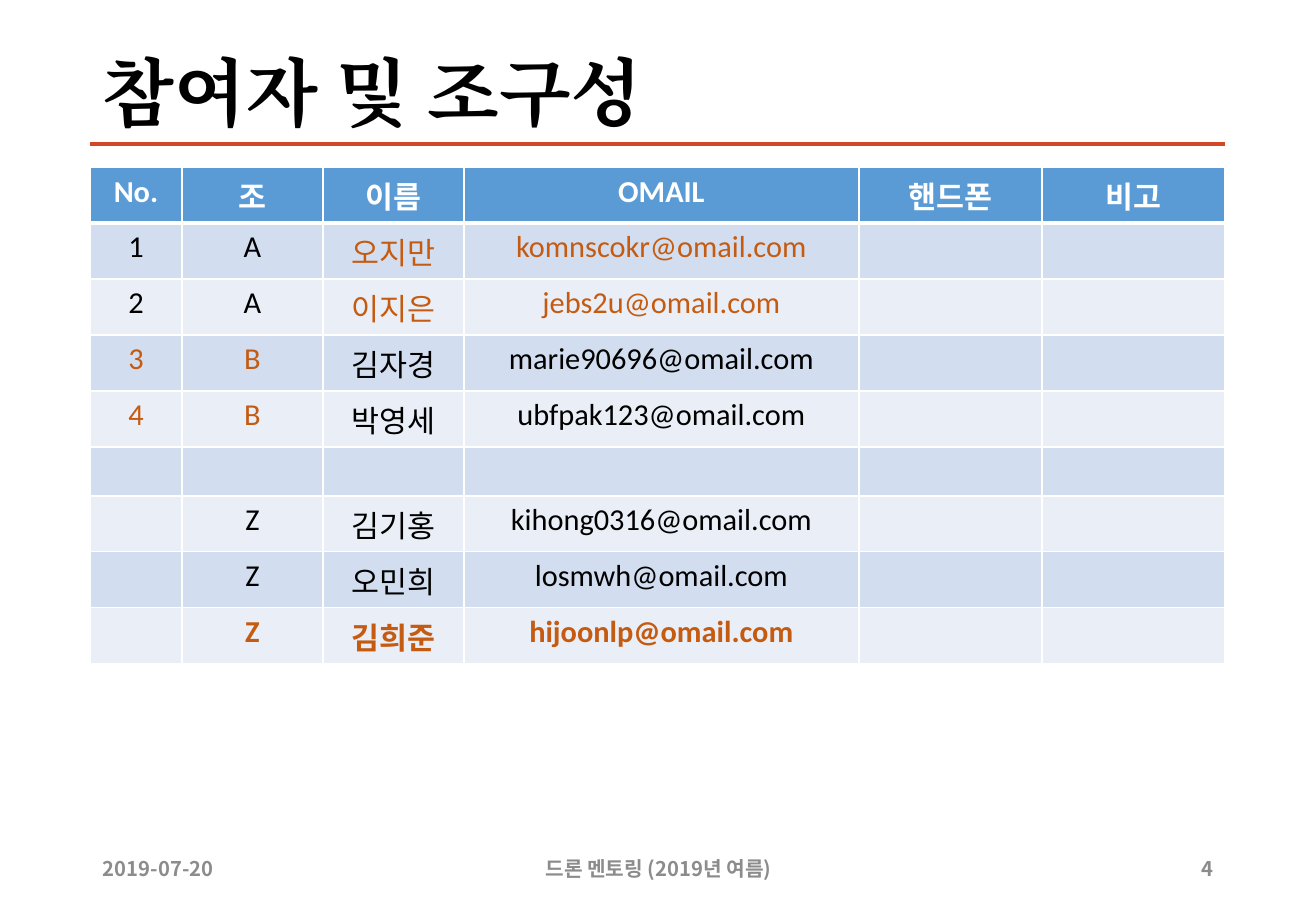
import pptx
import pptx.util
import pptx.dml.color
import pptx.enum.shapes
import pptx.enum.text
import lxml.etree

RGBColor = pptx.dml.color.RGBColor
BLACK = RGBColor(0x00, 0x00, 0x00)
WHITE = RGBColor(0xFF, 0xFF, 0xFF)
ORANGE = RGBColor(0xC5, 0x5A, 0x11)
RED = RGBColor(0xD2, 0x47, 0x26)
GRAY = RGBColor(0x8C, 0x8C, 0x8C)
BLUE = RGBColor(0x5B, 0x9B, 0xD5)
BANDS = (RGBColor(0xD2, 0xDE, 0xEF), RGBColor(0xEA, 0xEF, 0xF7))

ALIGN = pptx.enum.text.PP_ALIGN
EMU_PER_PIXEL = 914400 / 121.5
LEFT, WIDTH = 90, 1135
TEXT_LEFT = 91
FOOTER_TOP, FOOTER_HEIGHT = 844, 49
ROW_HEIGHT, EMPTY_ROW_HEIGHT = 56, 49


def px(pixels):
    return pptx.util.Emu(round(pixels * EMU_PER_PIXEL))


def add_child(parent, tag, **attributes):
    return lxml.etree.SubElement(parent, pptx.oxml.ns.qn(tag), **attributes)


class SlideBuilder:
    title_font = "Times New Roman"
    table_font = "Calibri"
    footer_font = "Noto Sans CJK KR"

    def __init__(self, slide):
        self.slide = slide

    def style(self, paragraph, font, size, color, bold, align):
        paragraph.alignment = align
        paragraph.font.name = font
        paragraph.font.size = pptx.util.Pt(size)
        paragraph.font.bold = bold
        paragraph.font.color.rgb = color

    def text(self, words, left, top, width, height, font, size, color, align=ALIGN.LEFT):
        box = self.slide.shapes.add_textbox(px(left), px(top), px(width), px(height))
        frame = box.text_frame
        frame.word_wrap = True
        frame.vertical_anchor = pptx.enum.text.MSO_ANCHOR.MIDDLE
        paragraph = frame.paragraphs[0]
        paragraph.text = words
        self.style(paragraph, font, size, color, True, align)
        return paragraph

    def title(self, words, left, top, width, height):
        paragraph = self.text(words, left, top, width, height, self.title_font, 44, BLACK)
        paragraph.line_spacing = 0.9
        add_child(paragraph.font._element, "a:ea", typeface=self.title_font)

    def footer(self, words, left, width, align):
        self.text(words, left, FOOTER_TOP, width, FOOTER_HEIGHT,
                  self.footer_font, 12, GRAY, align)

    def rule(self, left, top, width):
        line = self.slide.shapes.add_connector(
            pptx.enum.shapes.MSO_CONNECTOR.STRAIGHT,
            px(left), px(top), px(left + width), px(top))
        line.line.color.rgb = RED
        line.line.width = pptx.util.Pt(2)
        add_child(line._element.spPr, "a:effectLst")

    def cell(self, cell, words, fill, color, bold):
        cell.fill.solid()
        cell.fill.fore_color.rgb = fill
        paragraph = cell.text_frame.paragraphs[0]
        paragraph.text = words
        self.style(paragraph, self.table_font, 18, color, bold, ALIGN.CENTER)

    def bottom_border(self, cell, color, points):
        properties = cell._tc.get_or_add_tcPr()
        border = add_child(properties, "a:lnB", w=str(pptx.util.Pt(points)))
        add_child(add_child(border, "a:solidFill"), "a:srgbClr", val=str(color))
        properties.insert(0, border)

    def roster(self, headings, members, left, top, column_widths):
        row_heights = [ROW_HEIGHT] + [
            ROW_HEIGHT if entries else EMPTY_ROW_HEIGHT for entries, *_ in members]
        table = self.slide.shapes.add_table(
            len(row_heights), len(headings), px(left), px(top),
            px(sum(column_widths)), px(sum(row_heights))).table
        for column, width in zip(table.columns, column_widths):
            column.width = px(width)
        for row, height in zip(table.rows, row_heights):
            row.height = px(height)
        for column, heading in enumerate(headings):
            self.cell(table.cell(0, column), heading, BLUE, WHITE, True)
            self.bottom_border(table.cell(0, column), WHITE, 3)
        for row, (entries, group_color, person_color, bold) in enumerate(members, 1):
            for column in range(len(headings)):
                words = entries[column] if column < len(entries) else ""
                color = group_color if column < 2 else person_color
                self.cell(table.cell(row, column), words, BANDS[(row - 1) % 2], color, bold)


HEADINGS = ("No.", "조", "이름", "OMAIL", "핸드폰", "비고")
MEMBERS = (
    (("1", "A", "오지만", "komnscokr@omail.com"), BLACK, ORANGE, False),
    (("2", "A", "이지은", "jebs2u@omail.com"), BLACK, ORANGE, False),
    (("3", "B", "김자경", "marie90696@omail.com"), ORANGE, BLACK, False),
    (("4", "B", "박영세", "ubfpak123@omail.com"), ORANGE, BLACK, False),
    ((), BLACK, BLACK, False),
    (("", "Z", "김기홍", "kihong0316@omail.com"), BLACK, BLACK, False),
    (("", "Z", "오민희", "losmwh@omail.com"), BLACK, BLACK, False),
    (("", "Z", "김희준", "hijoonlp@omail.com"), ORANGE, ORANGE, True),
)

presentation = pptx.Presentation()
presentation.slide_width = px(1316)
presentation.slide_height = px(911)
builder = SlideBuilder(presentation.slides.add_slide(presentation.slide_layouts[6]))

builder.rule(LEFT, 144, WIDTH)
builder.title("참여자 및 조구성", TEXT_LEFT, 48, WIDTH, 96)
builder.roster(HEADINGS, MEMBERS, LEFT, 167, (92, 141, 141, 395, 183, 183))
builder.footer("2019-07-20", TEXT_LEFT, 154, ALIGN.LEFT)
builder.footer("드론 멘토링 (2019년 여름)", 436, 445, ALIGN.CENTER)
builder.footer("4", 1161, 64, ALIGN.RIGHT)

presentation.save("out.pptx")
